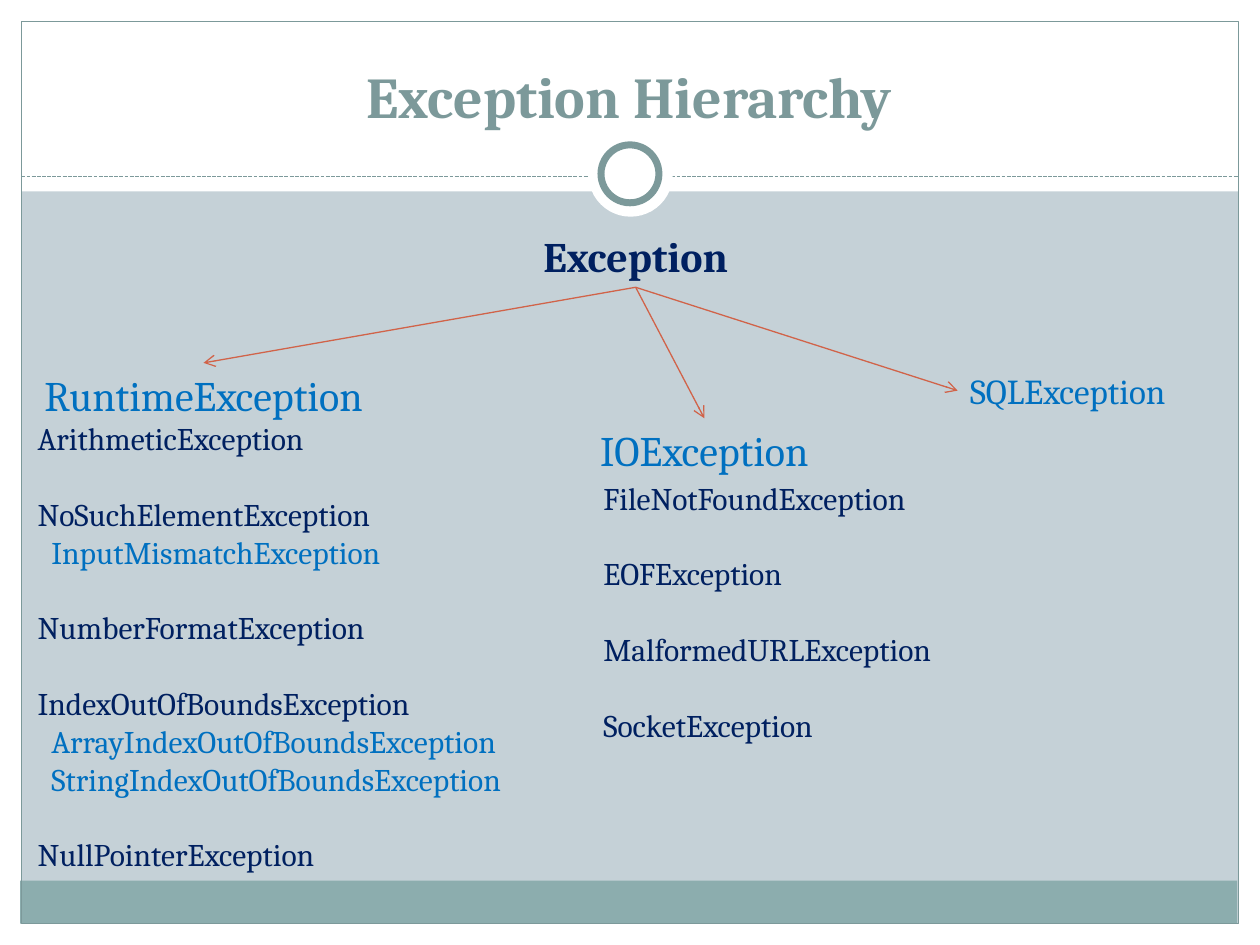
from lxml import etree
from pptx import Presentation
from pptx import util as u
from pptx.dml.color import RGBColor
from pptx.enum import dml, shapes, text
from pptx.oxml import ns

WHITE, SAGE, TEAL = "FFFFFF", "7C999A", "8CADAE"
NAVY, BLUE, RUST, MIST = "002060", "0070C0", "D16349", "C5D1D7"
CENTER, LEFT = text.PP_ALIGN.CENTER, text.PP_ALIGN.LEFT
RECTANGLE, OVAL = shapes.MSO_SHAPE.RECTANGLE, shapes.MSO_SHAPE.OVAL
BOTTOM_SITE, TOP_SITE, LEFT_SITE = 2, 0, 1
LINE_GAP = 21.6  # points, one line of 18 pt text


def color(value):
    return RGBColor.from_string(value)


class SlideBuilder:
    font_name = "Cambria"

    def __init__(self, slide):
        self.slide = slide

    def background(self, fill):
        self.slide.background.fill.solid()
        self.slide.background.fill.fore_color.rgb = color(fill)

    def shape(self, kind, box, fill=None, line=None, width=0.75):
        shape = self.slide.shapes.add_shape(kind, *map(u.Inches, box))
        shape.shadow.inherit = False
        if fill:
            shape.fill.solid()
            shape.fill.fore_color.rgb = color(fill)
        else:
            shape.fill.background()
        if line:
            shape.line.color.rgb = color(line)
            shape.line.width = u.Pt(width)
        else:
            shape.line.fill.background()

    def connector(self, start, end, line):
        points = map(u.Inches, (*start, *end))
        connector = self.slide.shapes.add_connector(shapes.MSO_CONNECTOR.STRAIGHT, *points)
        connector.line.color.rgb = color(line)
        connector.line.width = u.Pt(0.75)
        etree.SubElement(connector.element.spPr, ns.qn("a:effectLst"))
        return connector

    def arrow(self, source, target, site):
        connector = self.connector((0, 0), (1, 1), RUST)
        connector.begin_connect(source, BOTTOM_SITE)
        connector.end_connect(target, site)
        line = connector.element.spPr.find(ns.qn("a:ln"))
        etree.SubElement(line, ns.qn("a:tailEnd"), type="arrow")

    def style(self, paragraph, size, fill, bold=False, align=LEFT):
        paragraph.alignment = align
        values = {"name": self.font_name, "size": u.Pt(size), "bold": bold}
        for name, value in values.items():
            setattr(paragraph.font, name, value)
        paragraph.font.color.rgb = color(fill)

    def title(self, words, box):
        title = self.slide.shapes.title
        title.left, title.top, title.width, title.height = map(u.Inches, box)
        frame = title.text_frame
        frame.text = words
        frame.auto_size = text.MSO_AUTO_SIZE.NONE
        frame.vertical_anchor = text.MSO_ANCHOR.BOTTOM
        self.style(frame.paragraphs[0], 33, SAGE, True, CENTER)
        # Bring the title in front of the frame
        self.slide.shapes.element.append(title.element)

    def text_box(self, box):
        shape = self.slide.shapes.add_textbox(*map(u.Inches, box))
        shape.text_frame.word_wrap = True
        return shape

    def label(self, words, box, size=24, fill=BLUE, bold=False, align=CENTER):
        shape = self.text_box(box)
        shape.text_frame.text = words
        self.style(shape.text_frame.paragraphs[0], size, fill, bold, align)
        return shape

    def class_list(self, groups, box):
        """Write each class, with its subclasses indented below it."""
        frame = self.text_box(box).text_frame
        for index, (parent, *children) in enumerate(groups):
            paragraph = frame.add_paragraph() if index else frame.paragraphs[0]
            paragraph.text = parent
            paragraph.space_before = u.Pt(LINE_GAP if index else 0)
            self.style(paragraph, 18, NAVY)
            for child in children:
                paragraph = frame.add_paragraph()
                paragraph.text = child
                properties = paragraph._p.get_or_add_pPr()
                properties.set("marL", str(u.Inches(0.11)))
                self.style(paragraph, 18, BLUE)


def main():
    presentation = Presentation()
    presentation.slide_width, presentation.slide_height = u.Inches(10), u.Inches(7.5)
    builder = SlideBuilder(presentation.slides.add_slide(presentation.slide_layouts[5]))
    builder.background(MIST)

    # White margins, footer band and outline
    margins = [(0, 7.33, 10, 0.17), (0, 0, 10, 1.52), (0, 0, 0.17, 7.5), (9.83, 0, 0.17, 7.5)]
    for box in margins:
        builder.shape(RECTANGLE, box, WHITE)
    builder.shape(RECTANGLE, (0.16, 6.99, 9.66, 0.34), TEAL)
    builder.shape(RECTANGLE, (0.17, 0.17, 9.66, 7.16), line=SAGE)

    # Dashed divider with ring
    divider = builder.connector((0.17, 1.4), (9.83, 1.4), SAGE)
    divider.line.dash_style = dml.MSO_LINE.SQUARE_DOT
    builder.shape(OVAL, (4.67, 1.05, 0.67, 0.67), WHITE)
    builder.shape(OVAL, (4.77, 1.15, 0.46, 0.46), WHITE, SAGE, 4)

    builder.title("Exception Hierarchy", (0.33, 0.25, 9.33, 0.83))

    # Root and its three branches
    root = builder.label("Exception", (4.06, 1.78, 1.97, 0.5), fill=NAVY, bold=True)
    runtime = builder.label("RuntimeException", (0.12, 2.88, 2.99, 0.5))
    io_branch = builder.label("IOException", (4.29, 3.32, 2.6, 0.5))
    sql = builder.label("SQLException", (7.6, 2.88, 2.05, 0.44), size=20, align=LEFT)
    for target, site in ((runtime, TOP_SITE), (io_branch, TOP_SITE), (sql, LEFT_SITE)):
        builder.arrow(root, target, site)

    # Subclasses
    builder.class_list([
        ["ArithmeticException"],
        ["NoSuchElementException", "InputMismatchException"],
        ["NumberFormatException"],
        ["IndexOutOfBoundsException",
         "ArrayIndexOutOfBoundsException", "StringIndexOutOfBoundsException"],
        ["NullPointerException"],
    ], (0.2, 3.28, 4.33, 3.74))
    builder.class_list([
        ["FileNotFoundException"],
        ["EOFException"],
        ["MalformedURLException"],
        ["SocketException"],
    ], (4.69, 3.75, 3.15, 2.22))

    presentation.save("out.pptx")


if __name__ == "__main__":
    main()
